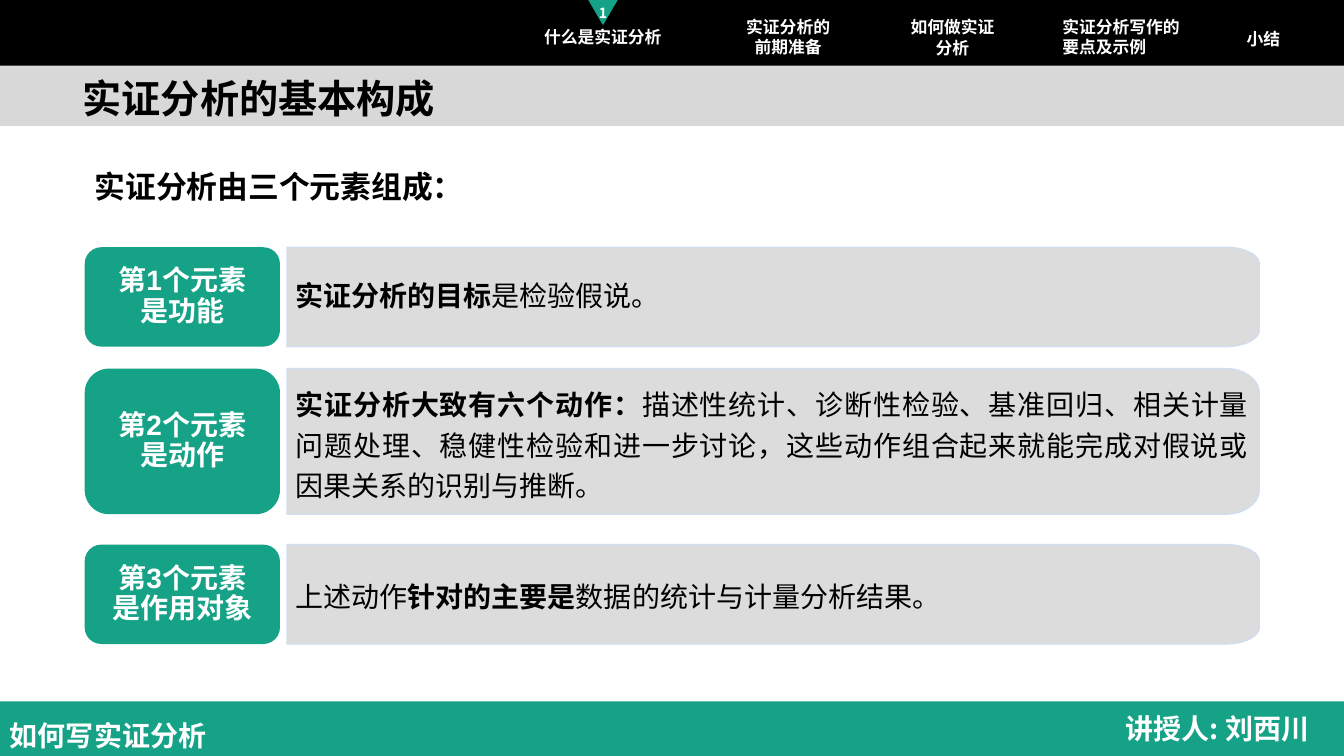
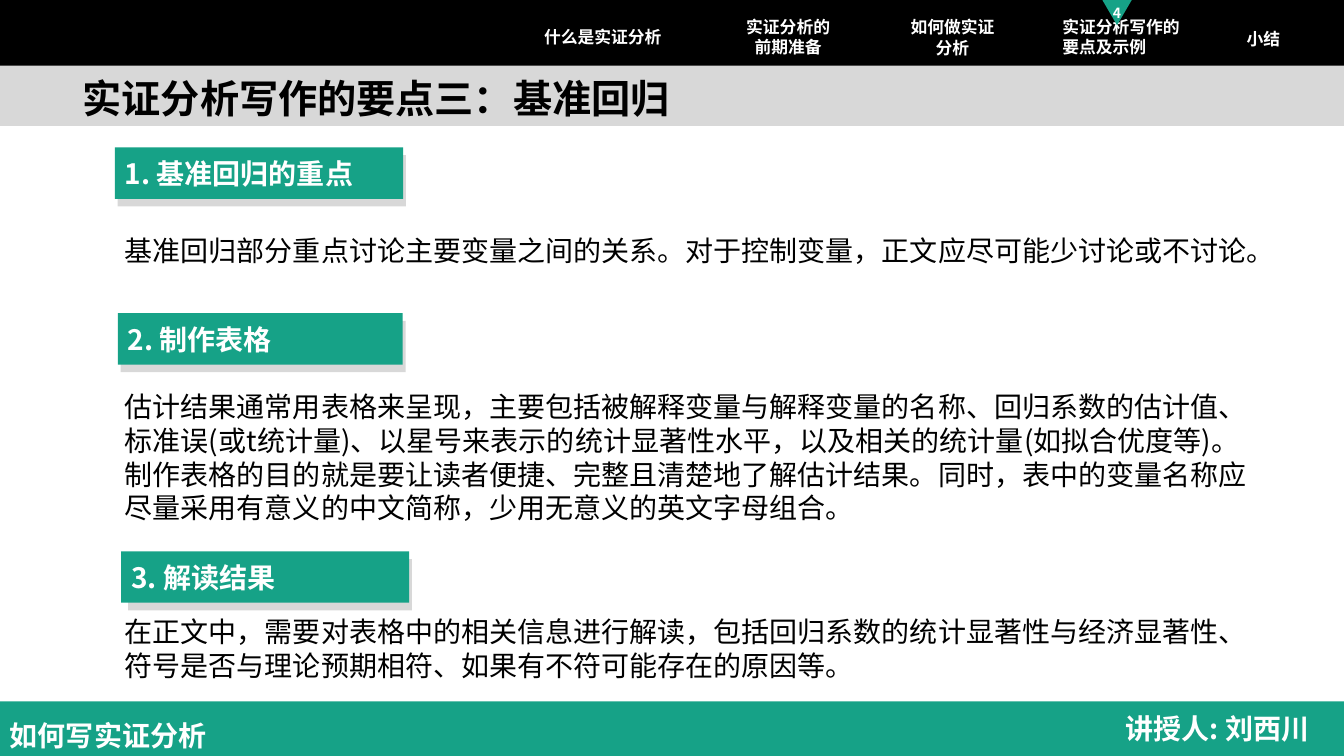
import math

import lxml.etree
import pptx
import pptx.dml.color
import pptx.enum.shapes
import pptx.enum.text
import pptx.oxml.ns
import pptx.util

Pt = pptx.util.Pt
ALIGN = pptx.enum.text.PP_ALIGN
ANCHOR = pptx.enum.text.MSO_ANCHOR
SHAPE = pptx.enum.shapes.MSO_SHAPE
qn = pptx.oxml.ns.qn

WIDTH, HEIGHT = 960, 540
COLORS = {"green": "16A287", "gray": "D8D8D8", "pale": "D1DEEF", "black": "000000", "white": "FFFFFF"}
CJK_FONT = "Noto Sans CJK SC"
MARGINS = (7.2, 3.6, 7.2, 3.6)

# left, top, width, height, lines, alignment
NAVIGATION = [
    (369.4, 9.4, 122.4, 33.8, ["什么是实证分析"], ALIGN.CENTER),
    (504, 12.2, 118, 28, ["实证分析的", "前期准备"], ALIGN.CENTER),
    (635, 10.8, 90.8, 31.7, ["如何做实证", "分析"], ALIGN.CENTER),
    (751.7, 9.4, 99, 33.8, ["实证分析写作的要点及示例"], ALIGN.LEFT),
    (867.6, 10.8, 69.8, 33.8, ["小结"], ALIGN.CENTER),
]


def rgb(name):
    return pptx.dml.color.RGBColor.from_string(COLORS[name])


class Deck:
    def __init__(self):
        self.presentation = pptx.Presentation()
        self.presentation.slide_width = Pt(WIDTH)
        self.presentation.slide_height = Pt(HEIGHT)
        self.slide = None

    def start_slide(self, title, section, marker_left):
        """Add a slide with its bands, navigation, section marker, title and footer."""
        self.slide = self.presentation.slides.add_slide(self.presentation.slide_layouts[5])
        self.box(0, 43, WIDTH, 47, "gray")
        self.box(0, 0, WIDTH, 47, "black")
        self.box(0, 501, WIDTH, 39, "green")
        for left, top, width, height, lines, alignment in NAVIGATION:
            self.text(left, top, width, height, lines, size=12, color="white", bold=True,
                      alignment=alignment, anchor=ANCHOR.MIDDLE)
        self.marker(marker_left, section)
        self.title(title)
        self.text(0, 504.7, 159, 36, ["如何写实证分析"], size=20, color="white", bold=True,
                  line_spacing=1.2)
        self.text(797, 504.7, 163, 32, ["讲授人: 刘西川"], size=20, color="white", bold=True)

    def paint(self, shape, fill, line=None, opacity=None):
        shape.shadow.inherit = False
        shape.fill.solid()
        shape.fill.fore_color.rgb = rgb(fill)
        if opacity:
            color = shape.fill._xPr.find(qn("a:solidFill"))[0]
            lxml.etree.SubElement(color, qn("a:alpha"), val=str(opacity * 1000))
        if line:
            shape.line.color.rgb = rgb(line)
            shape.line.width = Pt(1)
        else:
            shape.line.fill.background()
        return shape

    def set_text(self, shape, paragraphs, size=20, color="black", bold=False, font=CJK_FONT,
                 alignment=ALIGN.LEFT, anchor=ANCHOR.TOP, line_spacing=1.0, margins=MARGINS):
        """Fill a shape; a paragraph is a string or a list of (text, bold) runs."""
        frame = shape.text_frame
        left, top, right, bottom = map(Pt, margins)
        frame_format = {"word_wrap": True, "auto_size": pptx.enum.text.MSO_AUTO_SIZE.NONE,
                        "vertical_anchor": anchor, "margin_left": left, "margin_top": top,
                        "margin_right": right, "margin_bottom": bottom}
        for name, value in frame_format.items():
            setattr(frame, name, value)
        for index, content in enumerate(paragraphs):
            paragraph = frame.add_paragraph() if index else frame.paragraphs[0]
            paragraph_format = {"alignment": alignment, "line_spacing": line_spacing,
                                "space_before": Pt(0)}
            for name, value in paragraph_format.items():
                setattr(paragraph, name, value)
            runs = [(content, bold)] if isinstance(content, str) else content
            for words, run_bold in runs:
                run = paragraph.add_run()
                run.text = words
                for name, value in {"size": Pt(size), "bold": run_bold, "name": font}.items():
                    setattr(run.font, name, value)
                run.font.color.rgb = rgb(color)
                east_asian = lxml.etree.Element(qn("a:ea"), typeface=CJK_FONT)
                run.font._element.find(qn("a:latin")).addnext(east_asian)

    def box(self, left, top, width, height, fill, kind=SHAPE.RECTANGLE):
        shape = self.slide.shapes.add_shape(kind, Pt(left), Pt(top), Pt(width), Pt(height))
        return self.paint(shape, fill)

    def text(self, left, top, width, height, paragraphs, **style):
        shape = self.slide.shapes.add_textbox(Pt(left), Pt(top), Pt(width), Pt(height))
        self.set_text(shape, paragraphs, **style)

    def title(self, words):
        shape = self.slide.shapes.title
        self.slide.shapes._spTree.append(shape._element)  # in front of the bands
        position = {"left": 51.8, "top": 53.6, "width": 527, "height": 34}
        for name, value in position.items():
            setattr(shape, name, Pt(value))
        self.set_text(shape, [words], size=28, bold=True, line_spacing=0.9)

    def outline(self, points):
        start, *others = [(Pt(x), Pt(y)) for x, y in points]
        builder = self.slide.shapes.build_freeform(*start, scale=1.0)
        builder.add_line_segments(others, close=True)
        return builder.convert_to_shape()

    def marker(self, left, section):
        triangle = self.outline([(left, 0), (left + 21, 0), (left + 10.5, 18)])
        self.paint(triangle, "green")
        self.set_text(triangle, [str(section)], size=10, color="white", bold=True,
                      alignment=ALIGN.CENTER, anchor=ANCHOR.MIDDLE, margins=(0, 0, 0, 0))

    def element_row(self, top, height, label, content, **style):
        """Draw a rounded label and a panel whose right corners are elliptical arcs."""
        left, right, radius_x, radius_y = 205, 899.5, 24, height / 6
        angles = [math.radians(degrees) for degrees in range(0, 91, 6)]
        upper = [(right - radius_x * (1 - math.sin(angle)),
                  top + radius_y * (1 - math.cos(angle))) for angle in angles]
        lower = [(x, 2 * top + height - y) for x, y in reversed(upper)]
        panel = self.outline([(left, top), *upper, *lower, (left, top + height)])
        self.paint(panel, "gray", line="pale", opacity=89)
        self.set_text(panel, [content], anchor=ANCHOR.MIDDLE, margins=(6, 6, 8, 6), **style)
        shape = self.box(60.5, top, 139.5, height, "green", SHAPE.ROUNDED_RECTANGLE)
        self.set_text(shape, [label], color="white", bold=True, font="Arial",
                      alignment=ALIGN.CENTER, anchor=ANCHOR.MIDDLE, line_spacing=0.9,
                      margins=(16, 10, 16, 10))

    def heading(self, left, top, width, shadow_offset, words):
        """Draw a green tag over a gray one that reaches 2 points further right."""
        self.box(left + shadow_offset, top + 5.5, width + 2 - shadow_offset, 36.7, "gray")
        self.set_text(self.box(left, top, width, 36.7, "green"), [words], color="white",
                      bold=True, anchor=ANCHOR.MIDDLE)


def main():
    deck = Deck()

    deck.start_slide("实证分析的基本构成", 1, 420.2)
    deck.element_row(176.6, 71, "第1个元素是功能",
                     [("实证分析的目标", True), ("是检验假说。", False)], line_spacing=0.9)
    deck.element_row(263.3, 104, "第2个元素是动作",
                     [("实证分析大致有六个动作：", True),
                      ("描述性统计、诊断性检验、基准回归、相关计量问题处理、稳健性检验和进一步讨论，"
                       "这些动作组合起来就能完成对假说或因果关系的识别与推断。", False)],
                     line_spacing=1.2, alignment=ALIGN.JUSTIFY)
    deck.element_row(389, 71, "第3个元素是作用对象",
                     [("上述动作", False), ("针对的主要是", True),
                      ("数据的统计与计量分析结果。", False)], line_spacing=1.1)
    deck.text(60.5, 116.6, 855, 34, ["实证分析由三个元素组成："], size=22, bold=True)

    deck.start_slide("实证分析写作的要点三：基准回归", 4, 787.4)
    deck.heading(82, 105.3, 206, 2, "1. 基准回归的重点")
    deck.heading(84.2, 223.7, 203.5, 2, "2. 制作表格")
    deck.heading(86.5, 393.8, 205.7, 5, "3. 解读结果")
    explanations = [
        (163.4, 824, 32, "基准回归部分重点讨论主要变量之间的关系。对于控制变量，正文应尽可能少讨论或不讨论。"),
        (275, 824, 104, "估计结果通常用表格来呈现，主要包括被解释变量与解释变量的名称、回归系数的估计值、"
         "标准误(或t统计量)、以星号来表示的统计显著性水平，以及相关的统计量(如拟合优度等)。"
         "制作表格的目的就是要让读者便捷、完整且清楚地了解估计结果。"
         "同时，表中的变量名称应尽量采用有意义的中文简称，少用无意义的英文字母组合。"),
        (435.6, 796, 55, "在正文中，需要对表格中的相关信息进行解读，包括回归系数的统计显著性与经济显著性、"
         "符号是否与理论预期相符、如果有不符可能存在的原因等。"),
    ]
    for top, width, height, words in explanations:
        deck.text(82, top, width, height, [words])

    deck.presentation.save("out.pptx")


if __name__ == "__main__":
    main()
